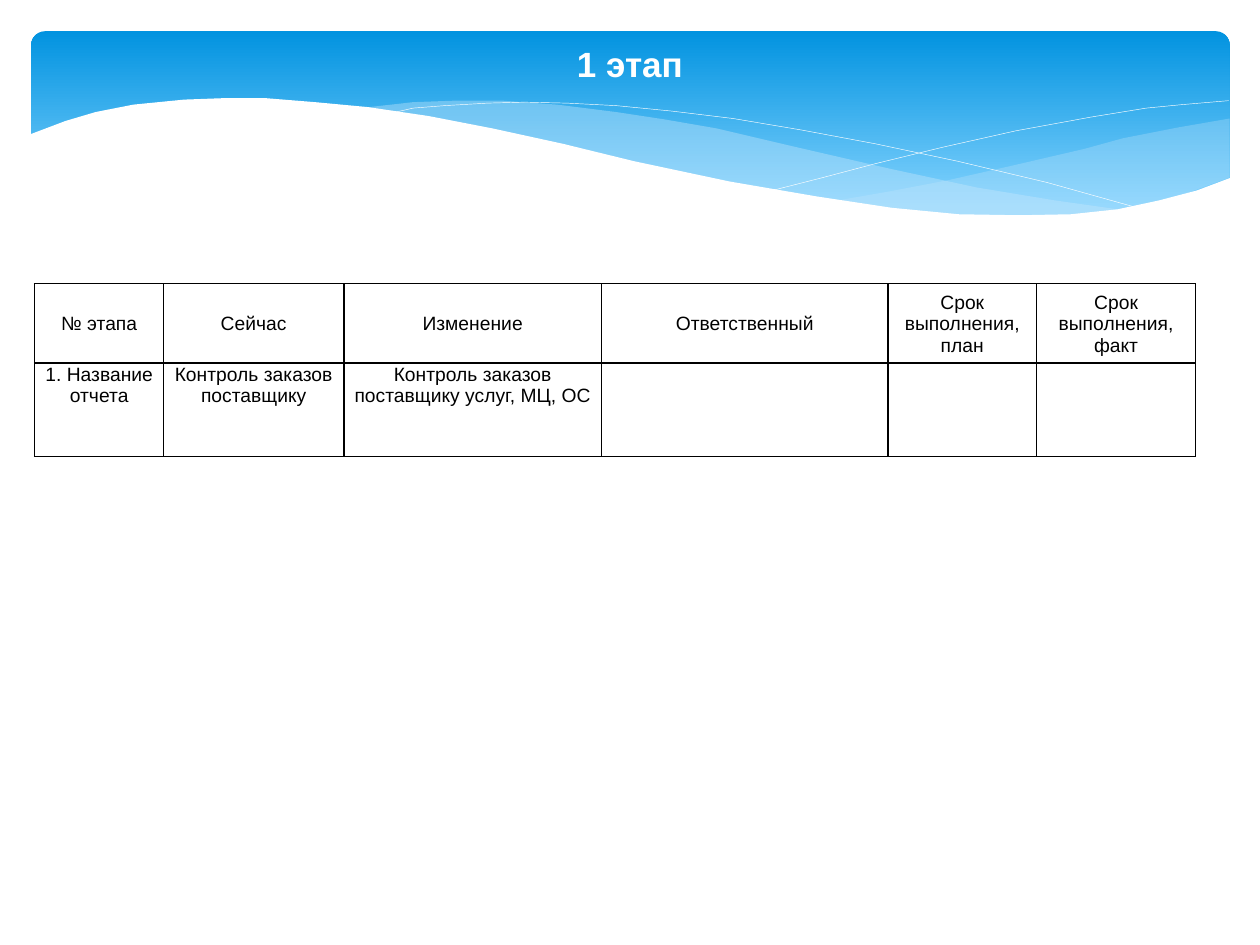
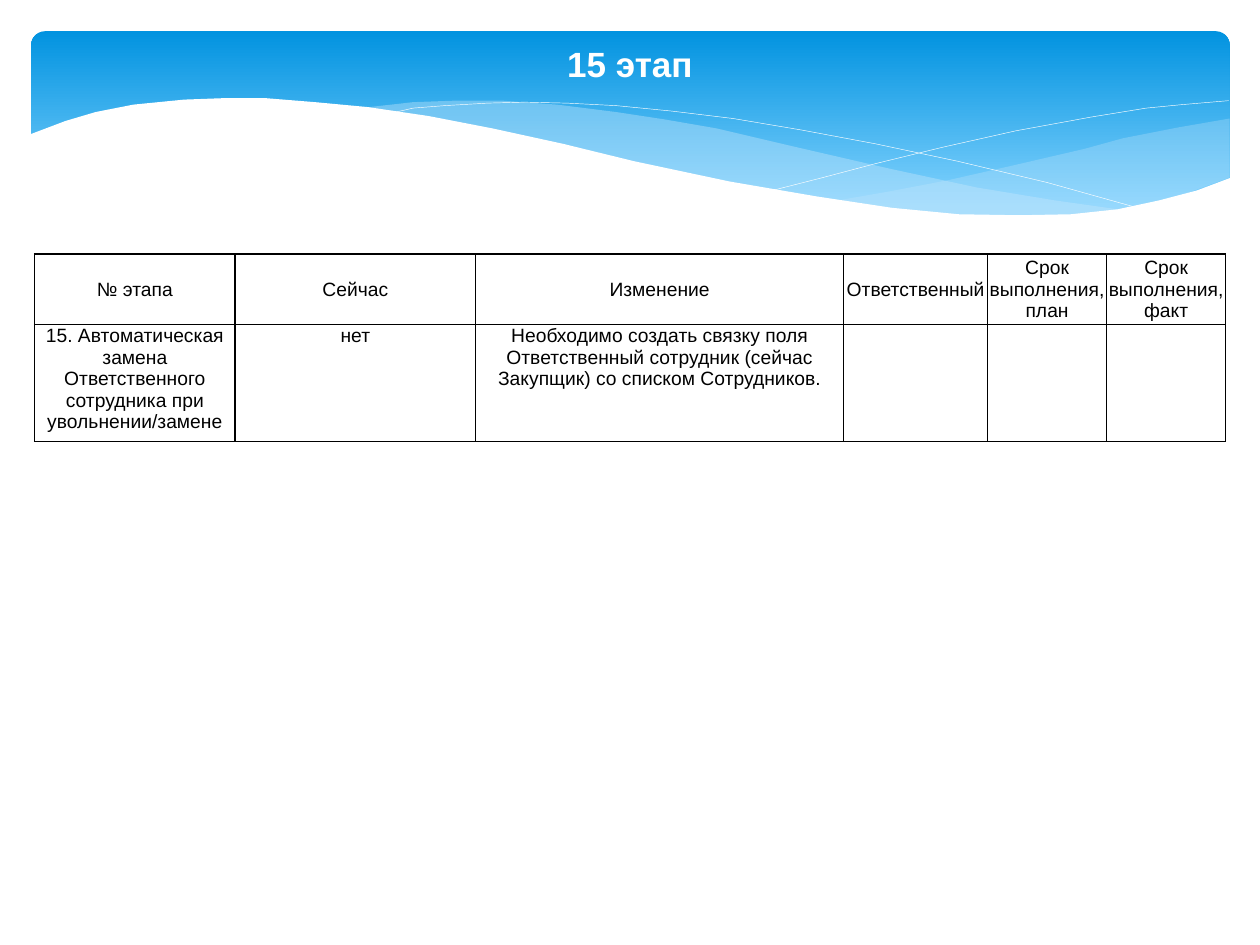
from lxml import etree
from pptx import Presentation
from pptx.dml.color import RGBColor
from pptx.enum.shapes import MSO_SHAPE
from pptx.enum.text import MSO_ANCHOR, MSO_AUTO_SIZE, PP_ALIGN
from pptx.oxml.ns import qn
from pptx.util import Cm, Pt

ROUNDED = MSO_SHAPE.ROUNDED_RECTANGLE
TOP, MIDDLE = MSO_ANCHOR.TOP, MSO_ANCHOR.MIDDLE
CENTER = PP_ALIGN.CENTER
GROW = MSO_AUTO_SIZE.SHAPE_TO_FIT_TEXT

FONT = "Arial"
WHITE, BLACK = "FFFFFF", "000000"
BAND_TOP, BAND_BOTTOM, VEIL = "0293E0", "83D3FE", "C6E7FC"

RIGHT_VEIL = [
    (24.79, 2.39), (23.75, 2.57), (22.63, 2.79), (21.87, 3), (20.45, 3.33),
    (19.13, 3.63), (17.93, 3.86), (16.79, 4.06), (17.55, 4.17), (18.59, 4.27),
    (19.53, 4.34), (20.4, 4.37), (21.21, 4.37), (21.92, 4.32), (22.58, 4.22),
    (23.19, 4.11), (23.75, 3.96), (24.79, 3.58),
]
LEFT_VEIL = [
    (22.68, 4.24), (21.26, 4.04), (19.69, 3.78), (17.93, 3.4), (15.98, 2.95),
    (14.45, 2.59), (13.41, 2.41), (12.42, 2.26), (11.23, 2.11), (10.13, 2.03),
    (9.17, 2.03), (8.33, 2.06), (7.26, 2.18), (8.2, 2.29), (9.19, 2.46),
    (10.26, 2.69), (11.4, 2.95), (13.46, 3.43), (15.27, 3.81), (16.89, 4.09),
    (18.34, 4.27), (19.63, 4.37), (20.78, 4.39), (21.77, 4.34),
]
FALLING_LINE = [
    (7.85, 2.29), (8.33, 2.18), (8.97, 2.13), (9.83, 2.08), (10.57, 2.06),
    (11.43, 2.08), (12.42, 2.13), (13.54, 2.24), (14.78, 2.39), (16.15, 2.62),
    (17.65, 2.9), (19.3, 3.25), (21.11, 3.68), (23.04, 4.22),
]
RISING_LINE = [
    (15.57, 3.84), (16.59, 3.58), (17.65, 3.3), (19, 2.97), (20.47, 2.64),
    (22, 2.36), (23.11, 2.18), (23.83, 2.11), (24.77, 2.03),
]
WHITE_WAVE = [
    (24.82, 3.58), (24.13, 3.84), (23.37, 4.04), (22.53, 4.22), (21.59, 4.32),
    (20.55, 4.34), (19.33, 4.32), (17.98, 4.19), (16.46, 3.96), (14.71, 3.66),
    (12.78, 3.25), (11.35, 2.9), (9.93, 2.59), (8.64, 2.34), (7.42, 2.16),
    (6.35, 2.06), (5.36, 1.98), (4.5, 1.98), (3.71, 2.01), (2.69, 2.11),
    (1.93, 2.26), (1.32, 2.44), (0.58, 2.72), (0.58, 5.69), (24.82, 5.69),
]

HEADINGS = ["№ этапа", "Сейчас", "Изменение", "Ответственный",
            "Срок выполнения, план", "Срок выполнения, факт"]
STAGES = [
    {
        "title": "1 этап",
        "top": 5.72,
        "widths": [2.6, 3.63, 5.2, 5.77, 3, 3.2],
        "heights": [1.6, 1.88],
        "entries": ["1. Название отчета", "Контроль заказов поставщику",
                    "Контроль заказов поставщику услуг, МЦ, ОС", "", "", ""],
    },
    {
        "title": "15 этап",
        "top": 5.12,
        "widths": [4.04, 4.85, 7.42, 2.9, 2.4, 2.4],
        "heights": [1.4, 2.36],
        "entries": ["15. Автоматическая замена Ответственного сотрудника при увольнении/замене",
                    "нет",
                    "Необходимо создать связку поля Ответственный сотрудник "
                    "(сейчас Закупщик) со списком Сотрудников.", "", "", ""],
    },
]


def rgb(value):
    return RGBColor.from_string(value)


class StageDeck:
    def __init__(self):
        self.deck = Presentation()
        self.deck.slide_width, self.deck.slide_height = Cm(25.4), Cm(19.05)
        self.slide = None

    def new_slide(self):
        self.slide = self.deck.slides.add_slide(self.deck.slide_layouts[6])

    def band(self):
        band = self.slide.shapes.add_shape(ROUNDED, Cm(0.63), Cm(0.63), Cm(24.16), Cm(3.96))
        band.adjustments[0] = 0.07
        band.shadow.inherit = False
        band.line.fill.background()
        band.fill.gradient()
        band.fill.gradient_angle = 270
        stops = zip(band.fill.gradient_stops, (0, 0.9), (BAND_TOP, BAND_BOTTOM))
        for stop, position, color in stops:
            stop.position = position
            stop.color.rgb = rgb(color)

    def outline(self, points, close):
        corners = [(Cm(x), Cm(y)) for x, y in points]
        builder = self.slide.shapes.build_freeform(*corners[0])
        builder.add_line_segments(corners[1:], close=close)
        outline = builder.convert_to_shape()
        outline.shadow.inherit = False
        return outline

    def wave(self, points, color, opacity=100):
        wave = self.outline(points, True)
        wave.fill.solid()
        wave.fill.fore_color.rgb = rgb(color)
        wave.line.fill.background()
        if opacity < 100:
            tint = next(wave.element.spPr.iter(qn("a:srgbClr")))
            etree.SubElement(tint, qn("a:alpha"), val=str(opacity * 1000))

    def curve(self, points):
        curve = self.outline(points, False)
        curve.fill.background()
        curve.line.color.rgb = rgb(WHITE)
        curve.line.width = Pt(0.25)

    def header(self, title):
        self.band()
        self.wave(RIGHT_VEIL, VEIL, 29)
        self.wave(LEFT_VEIL, VEIL, 40)
        self.curve(FALLING_LINE)
        self.curve(RISING_LINE)
        self.wave(WHITE_WAVE, WHITE)
        frame = self.slide.shapes.add_textbox(Cm(0.7), Cm(0.74), Cm(24), Cm(1.12)).text_frame
        frame.word_wrap = True
        frame.auto_size = GROW
        self.label(frame.paragraphs[0], title, 20, WHITE, True)

    def label(self, paragraph, text, size, color, bold=False):
        paragraph.text = text
        paragraph.alignment = CENTER
        font = paragraph.font
        font.name, font.size, font.bold = FONT, Pt(size), bold
        font.color.rgb = rgb(color)

    def cell(self, cell, text, anchor):
        cell.margin_left = cell.margin_right = cell.margin_top = Cm(0.02)
        cell.margin_bottom = 0
        cell.vertical_anchor = anchor
        self.label(cell.text_frame.paragraphs[0], text, 11, BLACK)
        properties = cell._tc.get_or_add_tcPr()
        for side in ("a:lnL", "a:lnR", "a:lnT", "a:lnB"):
            border = etree.SubElement(properties, qn(side), w=str(Pt(1)))
            paint = etree.SubElement(border, qn("a:solidFill"))
            etree.SubElement(paint, qn("a:srgbClr"), val=BLACK)
        cell.fill.solid()
        cell.fill.fore_color.rgb = rgb(WHITE)

    def plan(self, top, widths, heights, entries):
        plan = self.slide.shapes.add_table(
            2, len(HEADINGS), Cm(0.7), Cm(top), Cm(sum(widths)), Cm(sum(heights))).table
        plan.first_row = plan.horz_banding = False
        for column, width in zip(plan.columns, widths):
            column.width = Cm(width)
        for row, height, texts, anchor in zip(
                plan.rows, heights, (HEADINGS, entries), (MIDDLE, TOP)):
            row.height = Cm(height)
            for cell, text in zip(row.cells, texts):
                self.cell(cell, text, anchor)


def main():
    stages = StageDeck()
    for stage in STAGES:
        stages.new_slide()
        stages.header(stage["title"])
        stages.plan(stage["top"], stage["widths"], stage["heights"], stage["entries"])
    stages.deck.save("out.pptx")


if __name__ == "__main__":
    main()
